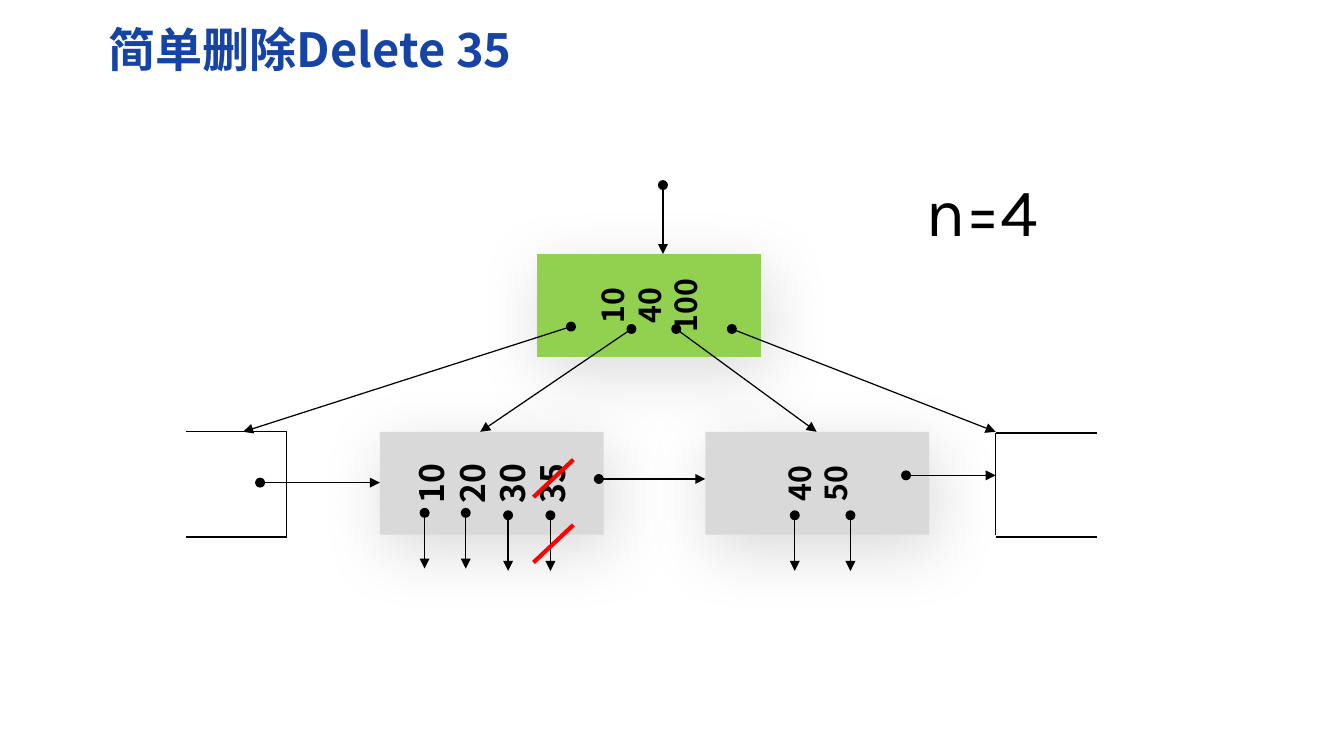
from pptx import Presentation
from pptx.dml.color import RGBColor
from pptx.enum.shapes import MSO_CONNECTOR as Connector, MSO_SHAPE as Shape
from pptx.enum.text import MSO_ANCHOR as Anchor, PP_ALIGN as Align
from pptx.oxml.ns import qn
from pptx.util import Inches, Pt
from lxml.etree import SubElement

BLACK = RGBColor(0x00, 0x00, 0x00)
BLUE = RGBColor(0x15, 0x43, 0xA6)
GREEN = RGBColor(0x92, 0xD0, 0x50)
GRAY = RGBColor(0xD9, 0xD9, 0xD9)
RED = RGBColor(0xFF, 0x00, 0x00)
CJK, LATIN = "Noto Sans CJK SC", "Karla"

# Content
TITLE = "简单删除Delete 35"
ORDER = "n=4"
NODE_WIDTH, NODE_HEIGHT = 0.85, 1.85  # before the quarter turn
NODES = [  # left, top, fill, text size, keys
    (4.94, 1.60, GREEN, 18, ["10", "40", "100"]),
    (3.64, 3.07, GRAY, 20, ["10", "20", "30", "35"]),
    (6.33, 3.07, GRAY, 18, ["40", "50"]),
]
CHILD_POINTERS = [
    (5.48, 1.53, 5.48, 2.10),
    (4.72, 2.70, 2.01, 3.57),
    (5.22, 2.72, 3.97, 3.57),
    (5.59, 2.72, 6.75, 3.57),
    (6.05, 2.72, 8.23, 3.57),
]
SIBLING_POINTERS = [  # from x, to x, y
    (2.15, 3.14, 3.99), (4.95, 5.83, 3.96), (7.49, 8.23, 3.93),
]
RECORD_POINTERS = [  # x, top
    (3.51, 4.24), (3.85, 4.24), (4.20, 4.26), (4.55, 4.26),
    (6.57, 4.26), (7.03, 4.26),
]
RECORD_LENGTH = 0.46
OPEN_NODES = [  # outer x, inner x, top, bottom of the inner side
    (1.54, 2.37, 3.57, 4.44), (9.07, 8.23, 3.58, 4.42),
]
OPEN_BOTTOM = 4.44
STRIKE_BOTTOMS = [4.11, 4.65]

deck = Presentation()
deck.slide_width, deck.slide_height = Inches(11.11), Inches(6.25)
slide = deck.slides.add_slide(deck.slide_layouts[5])


def write(shape, text, size, font=CJK, color=BLACK, bold=False,
          align=Align.CENTER, spacing=None, wrap=True):
    frame = shape.text_frame
    frame.text = text
    frame.word_wrap = wrap
    frame.vertical_anchor = Anchor.MIDDLE
    for paragraph in frame.paragraphs:
        paragraph.alignment = align
        if spacing:
            paragraph.line_spacing = Pt(size * spacing)
        for run in paragraph.runs:
            run.font.size, run.font.bold = Pt(size), bold
            run.font.name = font
            run.font.color.rgb = color
            SubElement(run.font._element, qn("a:ea"), typeface=font)
    return frame


def add_line(x1, y1, x2, y2, color=BLACK, width=0.75, arrow=False):
    line = slide.shapes.add_connector(
        Connector.STRAIGHT, Inches(x1), Inches(y1), Inches(x2), Inches(y2))
    line.line.color.rgb = color
    line.line.width = Pt(width)
    if arrow:
        outline = line.line._get_or_add_ln()
        SubElement(outline, qn("a:headEnd"), type="oval")
        SubElement(outline, qn("a:tailEnd"), type="triangle")
    SubElement(line._element.spPr, qn("a:effectLst"))


def add_soft_shadow(shape):
    shape.shadow.inherit = False
    effects = shape._element.spPr.find(qn("a:effectLst"))
    shadow = SubElement(effects, qn("a:outerShdw"), blurRad=str(Pt(40)),
                        dist=str(Pt(10)), dir=str(70 * 60000), rotWithShape="0")
    tint = SubElement(shadow, qn("a:srgbClr"), val=str(BLACK))
    SubElement(tint, qn("a:alpha"), val="15000")


# Title
title = slide.shapes.title
title.left, title.top = Inches(0.79), Inches(0.12)
title.width, title.height = Inches(9.81), Inches(0.57)
heading = write(title, TITLE, 28, color=BLUE, bold=True, align=Align.LEFT)
heading.margin_left = heading.margin_right = Inches(0.11)
heading.margin_top = heading.margin_bottom = Inches(0.06)

# Tree nodes, turned so that the keys read upwards
for left, top, fill, size, keys in NODES:
    node = slide.shapes.add_shape(Shape.RECTANGLE, Inches(left), Inches(top),
                                  Inches(NODE_WIDTH), Inches(NODE_HEIGHT))
    node.rotation = 270
    node.fill.solid()
    node.fill.fore_color.rgb = fill
    node.line.fill.background()
    add_soft_shadow(node)
    write(node, "\n".join(keys), size, bold=True, spacing=1.2)

# Neighbouring nodes, open on their outer side
for outer, inner, top, side_bottom in OPEN_NODES:
    add_line(outer, top, inner, top)
    add_line(inner, top, inner, side_bottom)
    add_line(outer, OPEN_BOTTOM, inner, OPEN_BOTTOM)

# Pointers
for ends in CHILD_POINTERS:
    add_line(*ends, arrow=True)
for start, end, y in SIBLING_POINTERS:
    add_line(start, y, end, y, arrow=True)
for x, top in RECORD_POINTERS:
    add_line(x, top, x, top + RECORD_LENGTH, arrow=True)

# Order of the tree
order = slide.shapes.add_textbox(Inches(7.5), Inches(1.35), Inches(1.23), Inches(0.77))
write(order, ORDER, 40, font=LATIN, wrap=False)

# Strikes through the deleted key and its pointer
for bottom in STRIKE_BOTTOMS:
    add_line(4.41, bottom, 4.74, bottom - 0.31, color=RED, width=2.5)

deck.save("out.pptx")
